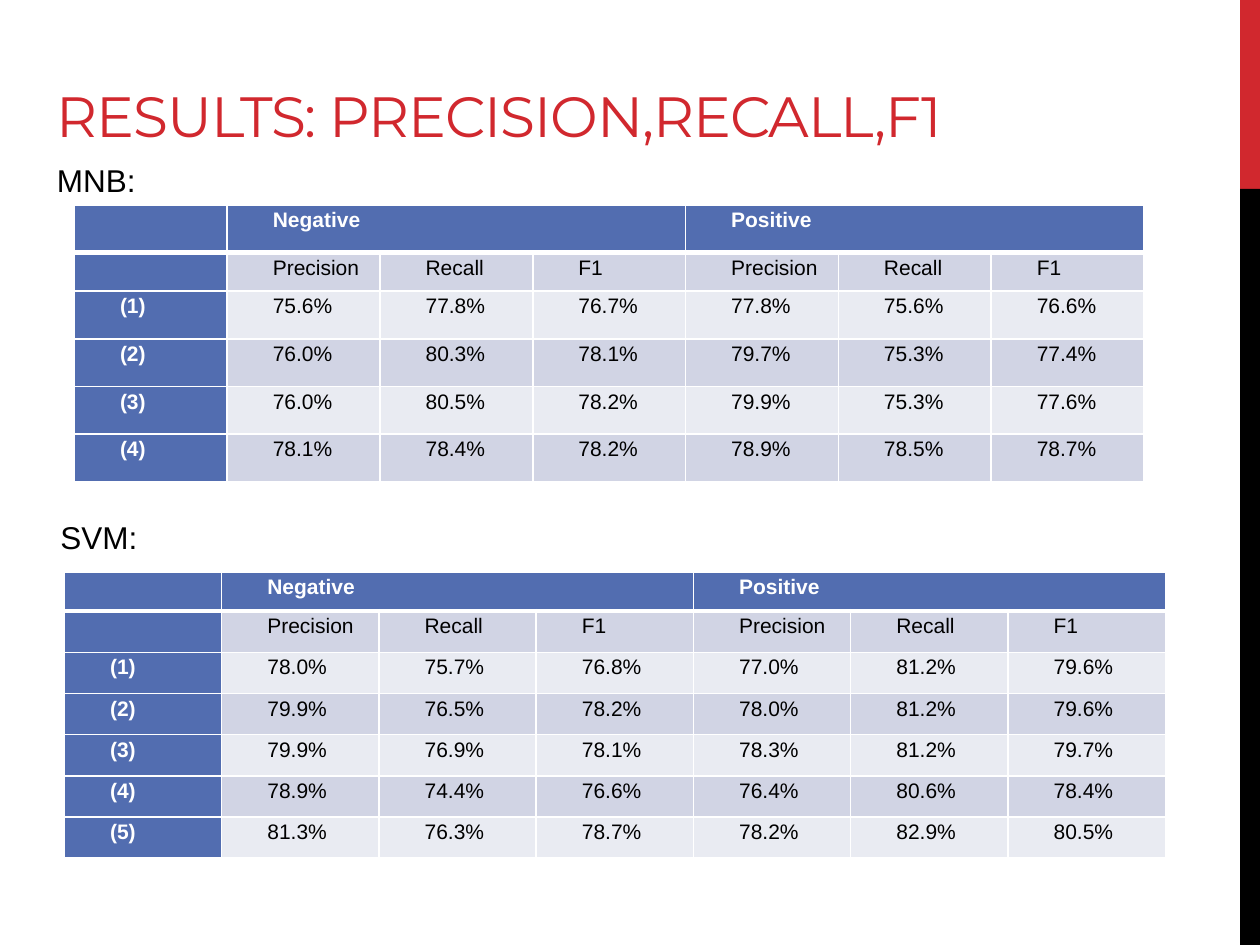
from dataclasses import dataclass

from lxml import etree
from pptx import Presentation
from pptx.dml.color import RGBColor
from pptx.enum import shapes, text
from pptx.oxml import ns
from pptx.util import Cm, Pt


@dataclass(frozen=True)
class Theme:
    red: str = "D1282E"
    black: str = "000000"
    white: str = "FFFFFF"
    header: str = "526DB0"
    band_dark: str = "D1D4E4"
    band_light: str = "E9EBF2"
    title_font: str = "Montserrat"
    body_font: str = "Arial"
    title_size: float = 32.4
    label_size: float = 18
    cell_size: float = 12


THEME = Theme()
METRICS = ["Precision", "Recall", "F1"]
MNB = [
    [75.6, 77.8, 76.7, 77.8, 75.6, 76.6],
    [76.0, 80.3, 78.1, 79.7, 75.3, 77.4],
    [76.0, 80.5, 78.2, 79.9, 75.3, 77.6],
    [78.1, 78.4, 78.2, 78.9, 78.5, 78.7],
]
SVM = [
    [78.0, 75.7, 76.8, 77.0, 81.2, 79.6],
    [79.9, 76.5, 78.2, 78.0, 81.2, 79.6],
    [79.9, 76.9, 78.1, 78.3, 81.2, 79.7],
    [78.9, 74.4, 76.6, 76.4, 80.6, 78.4],
    [81.3, 76.3, 78.7, 78.2, 82.9, 80.5],
]


def write(tf, content, size, font=THEME.body_font, color=THEME.black,
          bold=False, indent=None, line_spacing=None, tracking=None):
    p = tf.paragraphs[0]
    if line_spacing:
        p.line_spacing = line_spacing
    if indent:
        pPr = p._p.get_or_add_pPr()
        pPr.set("marL", "0")
        pPr.set("indent", str(Cm(indent)))
    r = p.add_run()
    r.text = content
    r.font.size = Pt(size)
    r.font.name = font
    r.font.bold = bold
    r.font.color.rgb = RGBColor.from_string(color)
    if tracking:
        r._r.get_or_add_rPr().set("spc", str(round(tracking * 100)))


def add_text(slide, content, left, top, width, height,
             anchor=text.MSO_ANCHOR.TOP, **style):
    sp = slide.shapes.add_textbox(Cm(left), Cm(top), Cm(width), Cm(height))
    tf = sp.text_frame
    tf.word_wrap = True
    tf.vertical_anchor = anchor
    write(tf, content, **style)


def add_bar(slide, top, height, color):
    sp = slide.shapes.add_shape(shapes.MSO_SHAPE.RECTANGLE,
                                Cm(25), Cm(top), Cm(0.4), Cm(height))
    sp.shadow.inherit = False
    sp.fill.solid()
    sp.fill.fore_color.rgb = RGBColor.from_string(color)
    sp.line.fill.background()


def set_borders(cell, **widths):
    tcPr = cell._tc.get_or_add_tcPr()
    for i, side in enumerate("LRTB"):
        ln = etree.Element(ns.qn(f"a:ln{side}"), w=str(Pt(widths.get(side, 1))))
        fill = etree.SubElement(ln, ns.qn("a:solidFill"))
        etree.SubElement(fill, ns.qn("a:srgbClr"), val=THEME.white)
        tcPr.insert(i, ln)


def format_cell(cell, content, row, col):
    is_header = row == 0 or col == 0
    band = THEME.band_dark if row % 2 else THEME.band_light
    cell.margin_left = cell.margin_right = Cm(0.18)
    cell.margin_top = cell.margin_bottom = 0
    cell.fill.solid()
    cell.fill.fore_color.rgb = RGBColor.from_string(
        THEME.header if is_header else band)
    set_borders(cell, B=3 if row == 0 else 1, T=3 if row == 1 else 1)
    if content:
        write(cell.text_frame, content, THEME.cell_size, bold=is_header,
              color=THEME.white if is_header else THEME.black,
              indent=0.74, line_spacing=1.15)


def add_results(slide, scores, left, top, col_width, head_height,
                metric_height, row_height):
    rows = [["", "Negative", "", "", "Positive", "", ""], [""] + METRICS * 2]
    rows += [[f"({i})"] + [f"{v:.1f}%" for v in values]
             for i, values in enumerate(scores, 1)]
    heights = [head_height, metric_height] + [row_height] * len(scores)
    cols = len(rows[0])
    table = slide.shapes.add_table(len(rows), cols, Cm(left), Cm(top),
                                   Cm(col_width * cols), Cm(sum(heights))).table
    for column in table.columns:
        column.width = Cm(col_width)
    for i, (height, row) in enumerate(zip(heights, rows)):
        table.rows[i].height = Cm(height)
        for j, content in enumerate(row):
            format_cell(table.cell(i, j), content, i, j)
    for first in (1, 4):
        table.cell(0, first).merge(table.cell(0, first + 2))


def main():
    prs = Presentation()
    prs.slide_width, prs.slide_height = Cm(25.4), Cm(19.05)
    slide = prs.slides.add_slide(prs.slide_layouts[6])
    add_bar(slide, 0, 3.81, THEME.red)
    add_bar(slide, 3.81, 15.24, THEME.black)
    add_text(slide, "RESULTS: PRECISION,RECALL,F1", 0.9, 1.02, 22.6, 2.1,
             anchor=text.MSO_ANCHOR.BOTTOM, size=THEME.title_size,
             font=THEME.title_font, color=THEME.red, tracking=-0.6)
    add_results(slide, MNB, 1.5, 4.13, 3.08, 0.96, 0.78, 0.96)
    add_results(slide, SVM, 1.3, 11.53, 3.17, 0.79, 0.83, 0.83)
    add_text(slide, "MNB:", 0.9, 3.12, 3.2, 1.02, size=THEME.label_size)
    add_text(slide, "SVM:", 0.97, 10.31, 3.2, 1.02, size=THEME.label_size)
    prs.save("out.pptx")


main()
